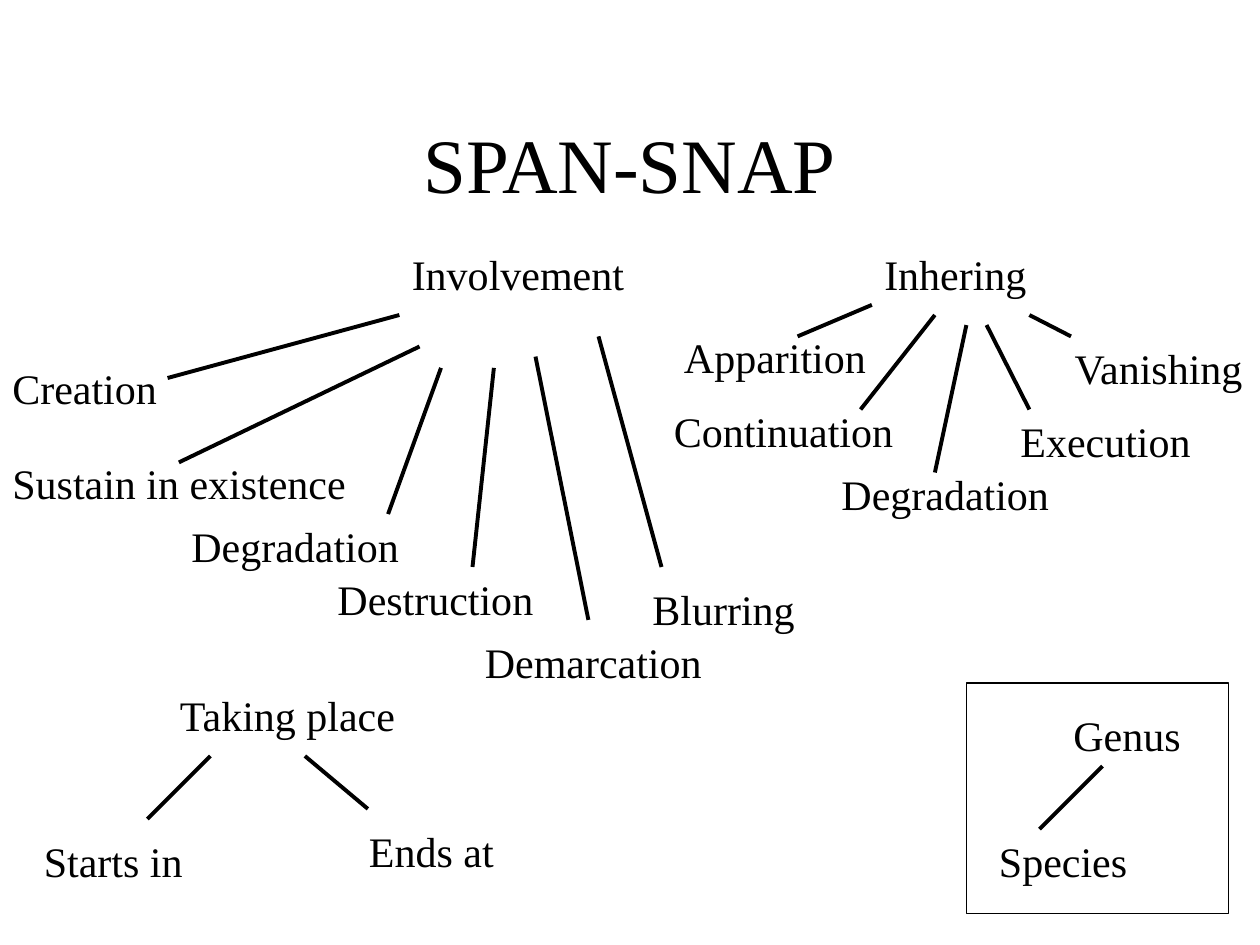
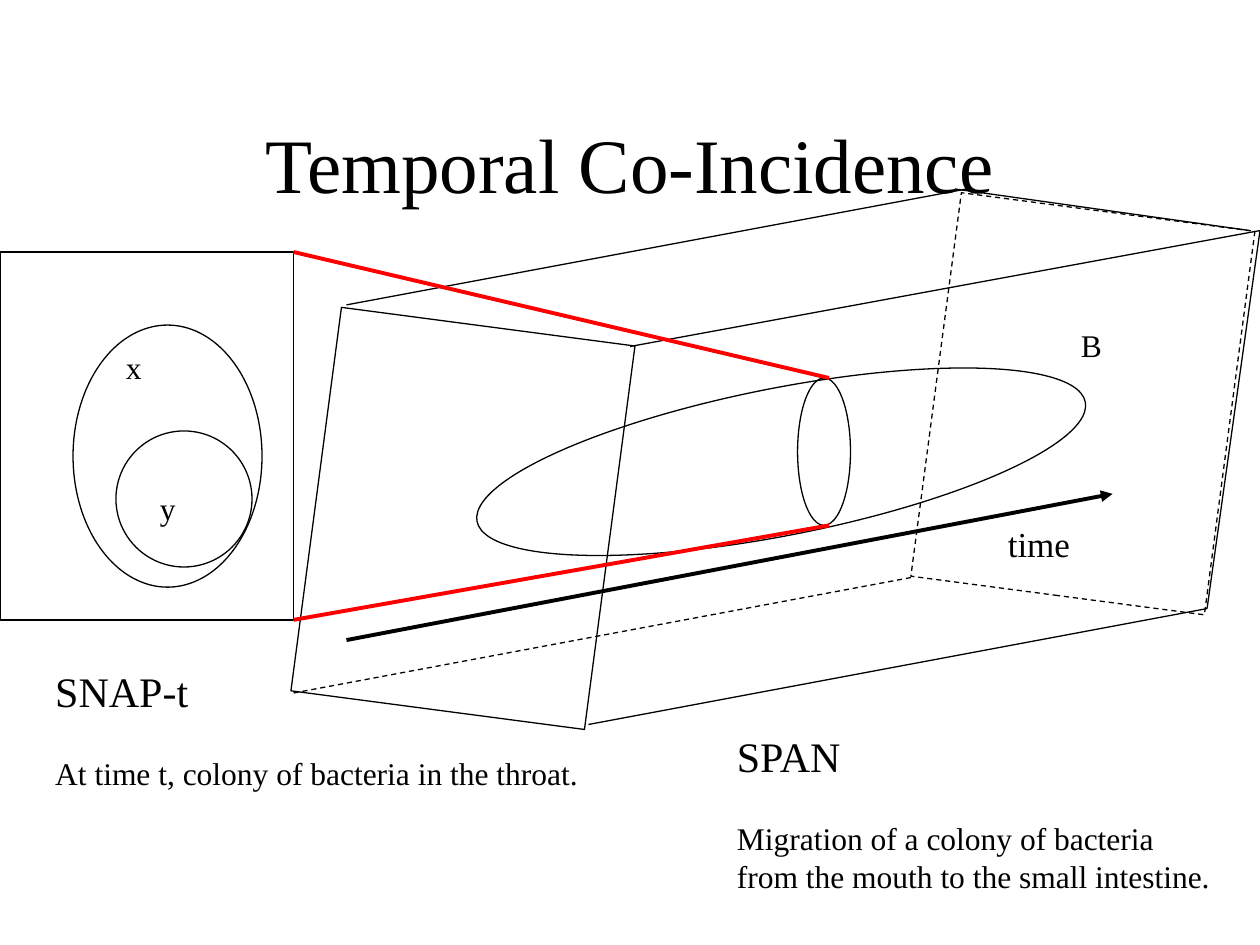
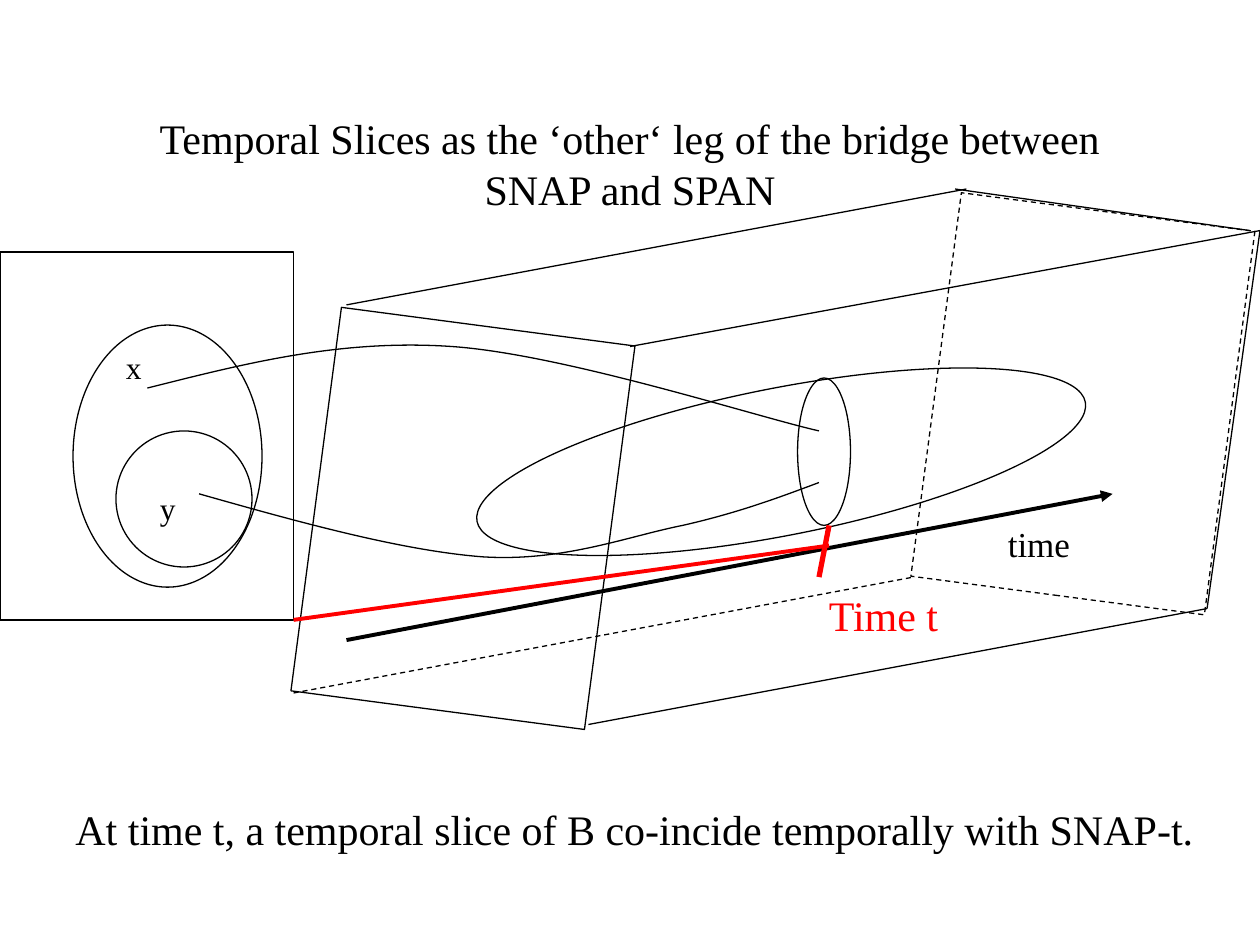
from lxml import etree
from pptx import Presentation
from pptx.dml.color import RGBColor
from pptx.enum.dml import MSO_LINE
from pptx.enum.shapes import MSO_CONNECTOR, MSO_SHAPE
from pptx.enum.text import MSO_ANCHOR, MSO_AUTO_SIZE, PP_ALIGN
from pptx.oxml.ns import qn
from pptx.util import Inches, Pt

FONT = "Times New Roman"
BLACK, RED = "000000", "FF0000"
THIN, THICK, HEAVY = 0.75, 2.25, 3
LARGE, MEDIUM, SMALL = 24, 20, 18
STRAIGHT = MSO_CONNECTOR.STRAIGHT
RECTANGLE, ELLIPSE = MSO_SHAPE.RECTANGLE, MSO_SHAPE.OVAL
DASH = MSO_LINE.DASH
MIDDLE, CENTER = MSO_ANCHOR.MIDDLE, PP_ALIGN.CENTER
FIT_SHAPE, FIXED_SIZE = MSO_AUTO_SIZE.SHAPE_TO_FIT_TEXT, MSO_AUTO_SIZE.NONE
TITLE_ONLY = 5


def color(hex_string):
    return RGBColor.from_string(hex_string)


class SlideBuilder:
    """Holds the shared style and the slide being drawn."""

    def __init__(self, presentation):
        self.presentation = presentation
        self.slide = None

    def start_slide(self, title, size=44):
        layout = self.presentation.slide_layouts[TITLE_ONLY]
        self.slide = self.presentation.slides.add_slide(layout)
        placeholder = self.slide.shapes.title
        placeholder.left, placeholder.top = Inches(0.75), Inches(0.67)
        placeholder.width, placeholder.height = Inches(8.5), Inches(1.25)
        frame = placeholder.text_frame
        frame.word_wrap = True
        frame.auto_size = FIXED_SIZE
        frame.vertical_anchor = MIDDLE
        frame.paragraphs[0].alignment = CENTER
        self.add_run(frame.paragraphs[0], title, size)

    def add_run(self, paragraph, text, size, hex_string=BLACK):
        run = paragraph.add_run()
        run.text = text
        run.font.name = FONT
        run.font.size = Pt(size)
        run.font.color.rgb = color(hex_string)

    def text(self, text, left, top, width, height=0.5, size=LARGE, hex_string=BLACK):
        box = self.slide.shapes.add_textbox(
            Inches(left), Inches(top), Inches(width), Inches(height))
        frame = box.text_frame
        frame.word_wrap = False
        frame.auto_size = FIT_SHAPE
        self.add_run(frame.paragraphs[0], text, size, hex_string)
        return frame

    def caption(self, heading, lines, left, top, width, height):
        frame = self.text(heading, left, top, width, height)
        frame.paragraphs[0].space_after = Pt(21.7)
        for line in lines:
            self.add_run(frame.add_paragraph(), line, SMALL)

    def outline(self, line, width=THIN, hex_string=BLACK, dash=None):
        line.color.rgb = color(hex_string)
        line.width = Pt(width)
        if dash is not None:
            line.dash_style = dash

    def shape(self, kind, left, top, width, height, rotation=0, dash=None):
        shape = self.slide.shapes.add_shape(
            kind, Inches(left), Inches(top), Inches(width), Inches(height))
        shape.rotation = rotation
        shape.shadow.inherit = False
        shape.fill.background()
        self.outline(shape.line, dash=dash)

    def line(self, start, end, width=THIN, hex_string=BLACK, dash=None, arrow=False):
        connector = self.slide.shapes.add_connector(
            STRAIGHT, *(Inches(value) for value in (*start, *end)))
        self.outline(connector.line, width, hex_string, dash)
        if arrow:
            line_element = connector.line._get_or_add_ln()
            etree.SubElement(line_element, qn("a:tailEnd"), type="triangle")
        etree.SubElement(connector._element.spPr, qn("a:effectLst"))

    def curve(self, start, *points):
        """Each three points are two controls and the end of a Bezier segment."""
        builder = self.slide.shapes.build_freeform(Inches(start[0]), Inches(start[1]))
        builder.add_line_segments(
            [(Inches(x), Inches(y)) for x, y in points], close=False)
        shape = builder.convert_to_shape()
        shape.shadow.inherit = False
        shape.fill.background()
        self.outline(shape.line)
        # Merge every three straight steps into one curved step
        steps = list(shape._element.iter(qn("a:lnTo")))
        for index in range(0, len(steps), 3):
            first, *others = steps[index:index + 3]
            bend = etree.Element(qn("a:cubicBezTo"))
            first.addprevious(bend)
            for step in (first, *others):
                bend.append(step[0])
                step.getparent().remove(step)

    def tree(self, root, branches):
        """Root is (text, left, top, width); a branch adds its line's two ends."""
        self.text(*root)
        for label, left, top, width, start, end in branches:
            self.text(label, left, top, width)
            self.line(start, end, THICK)

    def snapshot_panel(self):
        self.shape(RECTANGLE, 0, 2, 2.33, 2.92)
        self.shape(ELLIPSE, 0.58, 2.58, 1.5, 2.08)
        self.shape(ELLIPSE, 0.92, 3.42, 1.08, 1.08)
        self.text("x", 0.9, 2.71, 0.32, 0.4, SMALL)
        self.text("y", 1.17, 3.83, 0.32, 0.4, SMALL)

    def span_block(self):
        # Back and front faces
        self.shape(RECTANGLE, 7.42, 1.67, 2.35, 3.07, 7.5, DASH)
        self.shape(RECTANGLE, 2.5, 2.58, 2.35, 3.07, 7.5)
        # Edges, the hidden one dashed
        self.line((2.33, 5.5), (7.25, 4.58), dash=DASH)
        for start, end in (
            ((2.75, 2.42), (7.67, 1.5)),
            ((5, 2.75), (10, 1.83)),
            ((4.67, 5.75), (9.58, 4.83)),
            ((7.58, 1.5), (9.92, 1.83)),
            ((10, 1.83), (9.58, 4.83)),
        ):
            self.line(start, end)
        # Process, its slice and the time axis
        self.shape(ELLIPSE, 3.74, 3.08, 4.92, 1.17, 348.9)
        self.shape(ELLIPSE, 6.33, 3, 0.42, 1.17)
        self.line((2.75, 5.08), (8.83, 3.92), THICK, arrow=True)
        self.text("time", 7.9, 4.1, 0.71, 0.44, MEDIUM)


def relations_slide(builder):
    builder.start_slide("SPAN-SNAP")
    builder.tree(("Involvement", 3.17, 1.92, 1.9), (
        ("Creation", 0, 2.83, 1.35, (3.17, 2.5), (1.33, 3)),
        ("Sustain in existence", 0, 3.58, 2.85, (3.33, 2.75), (1.42, 3.67)),
        ("Degradation", 1.42, 4.08, 1.85, (3.5, 2.92), (3.08, 4.08)),
        ("Destruction", 2.58, 4.5, 1.77, (3.92, 2.92), (3.75, 4.5)),
        ("Demarcation", 3.75, 5, 1.92, (4.25, 2.83), (4.67, 4.92)),
        ("Blurring", 5.08, 4.58, 1.33, (4.75, 2.67), (5.25, 4.5)),
    ))
    builder.tree(("Inhering", 6.92, 1.92, 1.33), (
        ("Apparition", 5.33, 2.58, 1.66, (6.92, 2.42), (6.33, 2.67)),
        ("Continuation", 5.25, 3.17, 1.94, (7.42, 2.5), (6.83, 3.25)),
        ("Degradation", 6.58, 3.67, 1.85, (7.67, 2.58), (7.42, 3.75)),
        ("Execution", 8, 3.25, 1.55, (7.83, 2.58), (8.17, 3.25)),
        ("Vanishing", 8.43, 2.67, 1.57, (8.17, 2.5), (8.5, 2.67)),
    ))
    builder.tree(("Taking place", 1.33, 5.42, 1.93), (
        ("Starts in", 0.25, 6.58, 1.3, (1.67, 6), (1.17, 6.5)),
        ("Ends at", 2.83, 6.5, 1.19, (2.42, 6), (2.92, 6.42)),
    ))
    # Legend
    builder.shape(RECTANGLE, 7.67, 5.42, 2.08, 1.83)
    builder.tree(("Genus", 8.42, 5.58, 1.05), (
        ("Species", 7.83, 6.58, 1.22, (8.75, 6.08), (8.25, 6.58)),
    ))


def coincidence_slide(builder):
    builder.start_slide("Temporal Co-Incidence")
    builder.snapshot_panel()
    builder.span_block()
    builder.text("B", 8.48, 2.54, 0.36, 0.4, SMALL)
    # Captions
    builder.caption("SNAP-t", ["At time t, colony of bacteria in the throat."],
                    0.34, 5.23, 4.35, 1.1)
    builder.caption("SPAN", ["Migration of a colony of bacteria",
                             "from the mouth to the small intestine."],
                    5.75, 5.75, 3.98, 1.4)
    # Projection of the panel onto the slice
    builder.line((2.33, 2), (6.58, 3), THICK, RED)
    builder.line((2.33, 4.92), (6.58, 4.17), THICK, RED)


def slices_slide(builder):
    builder.start_slide(
        "Temporal Slices as the ‘other‘ leg of the bridge between SNAP and SPAN", LARGE)
    builder.span_block()
    builder.snapshot_panel()
    # Links from x and y to the slice
    builder.curve((1.17, 3.08),
                  (1.93, 2.89), (2.69, 2.69), (3.58, 2.75),
                  (4.47, 2.81), (6.01, 3.31), (6.5, 3.42))
    builder.curve((1.58, 3.92),
                  (2.39, 4.15), (3.19, 4.37), (3.83, 4.42),
                  (4.47, 4.46), (4.97, 4.26), (5.42, 4.17),
                  (5.86, 4.07), (6.18, 3.95), (6.5, 3.83))
    # Moment on the time axis
    builder.line((6.58, 4.17), (6.5, 4.58), HEAVY, RED)
    builder.line((2.33, 4.92), (6.58, 4.33), THICK, RED)
    builder.text("Time t", 6.48, 4.63, 1.08, hex_string=RED)
    builder.text("At time t, a temporal slice of B co-incide temporally with SNAP-t.",
                 0.5, 6.33, 9.08)


def main():
    presentation = Presentation()
    presentation.slide_width, presentation.slide_height = Inches(10), Inches(7.5)
    builder = SlideBuilder(presentation)
    relations_slide(builder)
    coincidence_slide(builder)
    slices_slide(builder)
    presentation.save("out.pptx")


if __name__ == "__main__":
    main()
